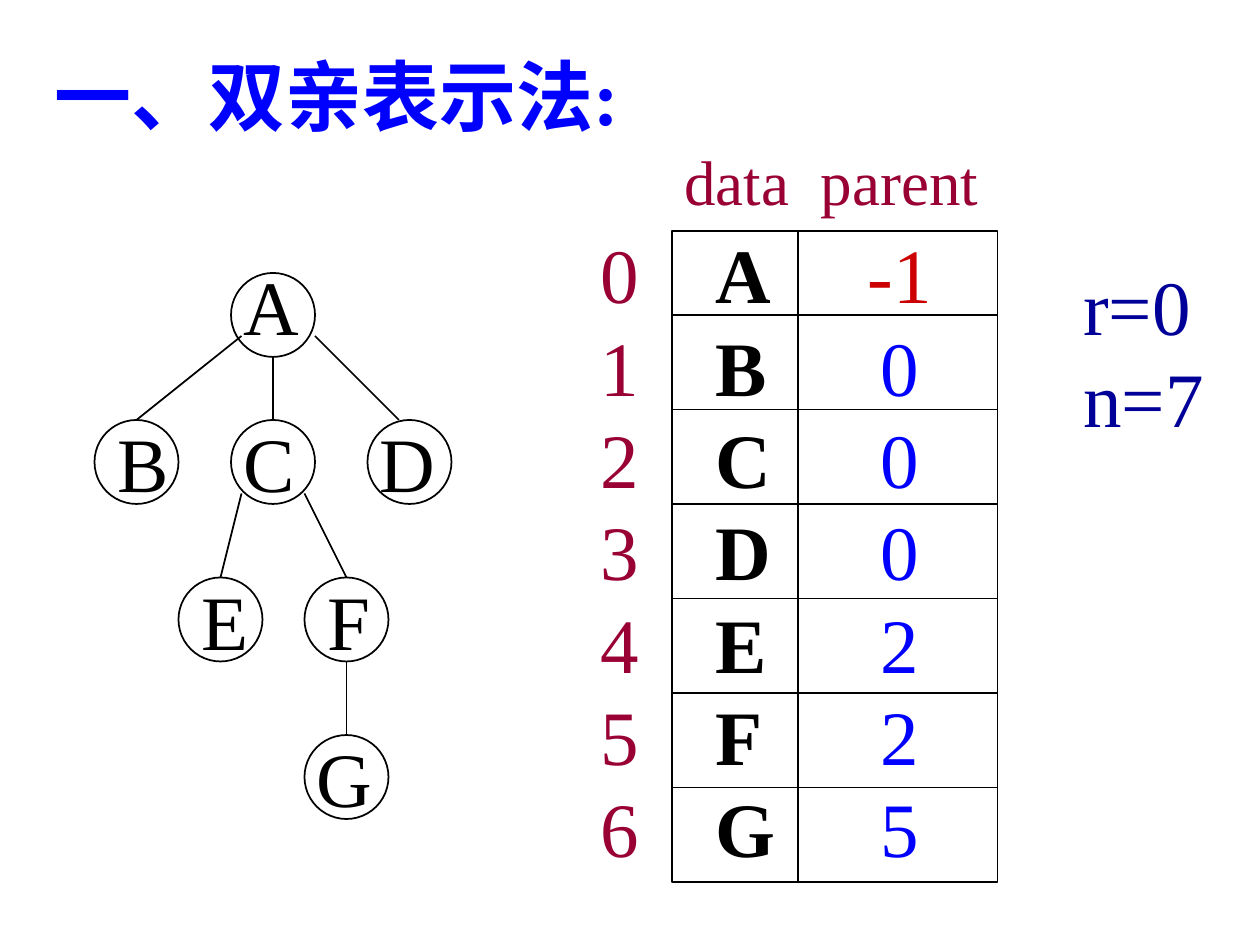
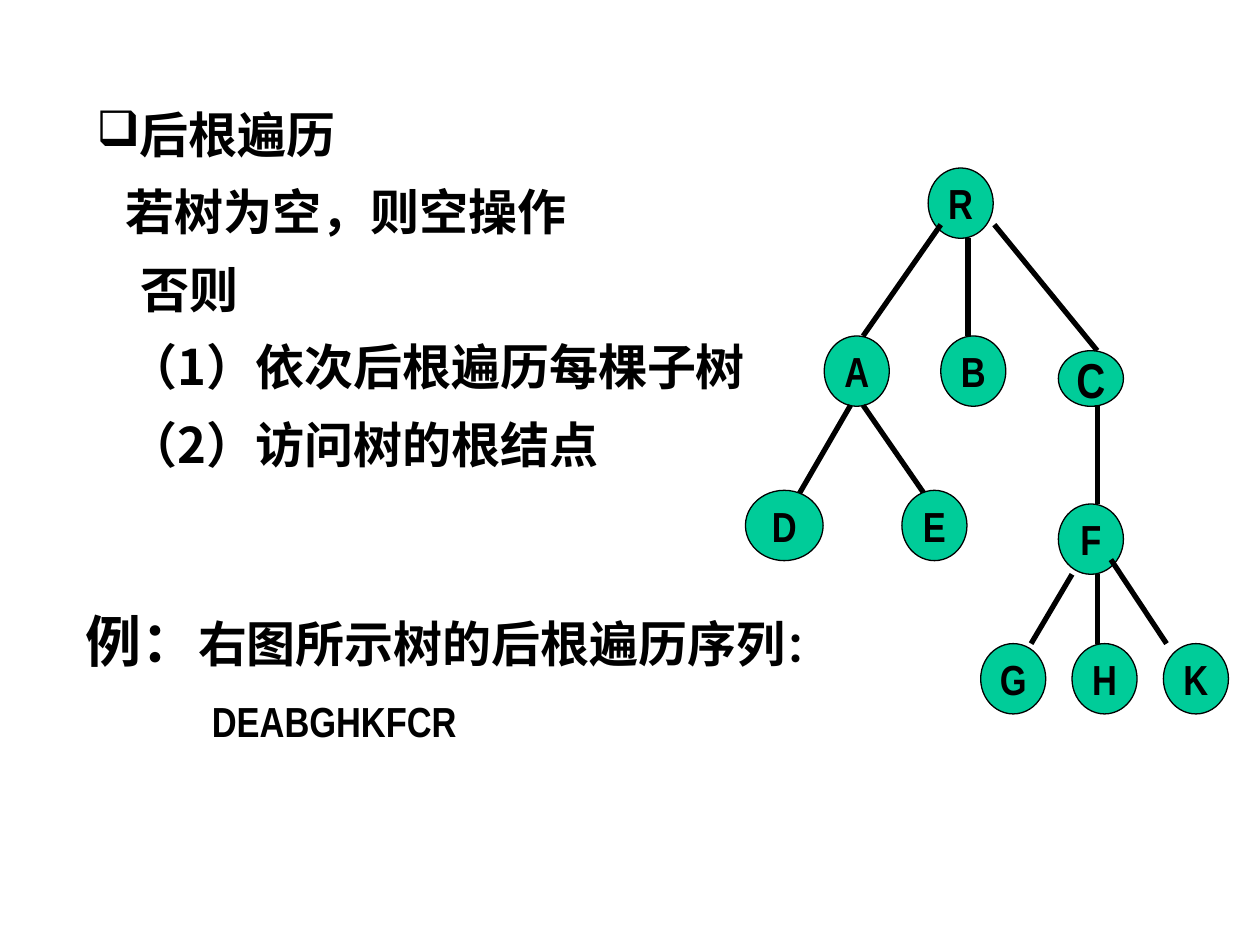
"""Build two slides on storing and walking trees."""
from lxml.etree import SubElement as Sub
from pptx import Presentation as Deck
from pptx.dml.color import RGBColor as Rgb
from pptx.enum.shapes import MSO_CONNECTOR as Link, MSO_SHAPE as Form
from pptx.enum.text import MSO_ANCHOR as Anchor, MSO_AUTO_SIZE as Fit, PP_ALIGN as Align
from pptx.oxml.ns import qn
from pptx.util import Emu, Pt

SCALE = 7620
HUES = {"ink": "000000", "blue": "0000FF", "navy": "000099", "wine": "990033",
        "red": "CC0000", "green": "00CC99"}
TIMES, NARROW, HAN = "Times New Roman", "Arial Narrow", "Noto Sans CJK SC"
BIG = {"name": TIMES, "size": Pt(44)}
HEAD = {"name": TIMES, "size": Pt(36)}
BODY = {"name": HAN, "size": Pt(28), "bold": True}
NODE = {"name": NARROW, "size": Pt(24), "bold": True}

DISCS = {"A": (220, 260), "B": (90, 400), "C": (220, 400), "D": (350, 400),
         "E": (170, 550), "F": (290, 550), "G": (290, 700)}
MARKS = {"A": (220, 240), "B": (100, 390), "C": (220, 390), "D": (350, 390),
         "E": (180, 540), "F": (300, 540), "G": (290, 690)}
TWIGS = [(260, 340, 260, 400), (300, 320, 380, 400), (230, 320, 130, 400),
         (230, 470, 210, 550), (290, 470, 330, 550), (330, 630, 330, 700)]
ROWS = [("A", "-1"), ("B", "0"), ("C", "0"), ("D", "0"), ("E", "2"), ("F", "2"), ("G", "5")]

NODES = {"R": (884, 160), "A": (785, 320), "B": (896, 320), "C": (1008, 334, 62, 53),
         "D": (710, 467, 74, 67), "E": (859, 467), "F": (1008, 480),
         "G": (934, 613), "H": (1021, 613), "K": (1108, 613)}
EDGES = {"R": [(896, 214, 822, 320), (947, 214, 1045, 334), (922, 227, 922, 320)],
         "A": [(810, 386, 748, 493), (822, 386, 896, 493)],
         "C": [(1045, 386, 1045, 480)],
         "F": [(1021, 547, 982, 613), (1058, 533, 1111, 613), (1045, 547, 1045, 613)]}
STEPS = [("若树为空，则空操作", 28), ("否则", 42),
         ("（1）依次后根遍历每棵子树", 31), ("（2）访问树的根结点", 31)]


def px(*sizes):
    """Turn px lengths into EMU."""
    return [Emu(size * SCALE) for size in sizes]


def hue(key):
    """Give the colour with this name."""
    return Rgb.from_string(HUES[key])


def write(para, text, style, tone="ink"):
    """Add a styled run to a paragraph."""
    run = para.add_run()
    run.text = text
    for key, value in style.items():
        setattr(run.font, key, value)
    run.font.color.rgb = hue(tone)
    Sub(run.font._element, qn("a:ea"), typeface=HAN)


def space(para, line=None):
    """Put half a line before a paragraph."""
    if line:
        para.line_spacing = line
    before = Sub(para._p.get_or_add_pPr(), qn("a:spcBef"))
    Sub(before, qn("a:spcPct"), val="50000")


def indent(para, left):
    """Set the left margin of a paragraph."""
    para._p.get_or_add_pPr().set("marL", str(left * SCALE))


def bullet(para, sign):
    """Give a paragraph a black bullet."""
    props = para._p.get_or_add_pPr()
    Sub(Sub(props, qn("a:buClr")), qn("a:srgbClr"), val=HUES["ink"])
    Sub(props, qn("a:buChar"), char=sign)


def tabs(para, *stops):
    """Set tab stops given as place and alignment."""
    row = Sub(para._p.get_or_add_pPr(), qn("a:tabLst"))
    for place, side in stops:
        Sub(row, qn("a:tab"), pos=str(place * SCALE), algn=side)


def text_box(shapes, left, top, wide, high, count=1, wrap=False):
    """Add a text box and return its paragraphs."""
    frame = shapes.add_textbox(*px(left, top, wide, high)).text_frame
    frame.word_wrap = wrap
    frame.auto_size = Fit.SHAPE_TO_FIT_TEXT
    for _ in range(count - 1):
        frame.add_paragraph()
    return frame.paragraphs


def shape(shapes, form, box, fill=None, width=1):
    """Add an outlined shape."""
    item = shapes.add_shape(form, *px(*box))
    item.shadow.inherit = False
    if fill:
        item.fill.solid()
        item.fill.fore_color.rgb = hue(fill)
    else:
        item.fill.background()
    item.line.color.rgb = hue("ink")
    item.line.width = Pt(width)
    return item


def line(shapes, ends, width=1):
    """Add a straight black line."""
    item = shapes.add_connector(Link.STRAIGHT, *px(*ends))
    item.line.color.rgb = hue("ink")
    item.line.width = Pt(width)
    Sub(item._element.spPr, qn("a:effectLst"))


def node(shapes, name, left, top, wide=62, high=67):
    """Add a green tree node with its letter."""
    item = shape(shapes, Form.OVAL, (left, top, wide, high), "green", 0.75)
    frame = item.text_frame
    frame.word_wrap = False
    frame.vertical_anchor = Anchor.MIDDLE
    para = frame.paragraphs[0]
    para.alignment = Align.CENTER
    size = Pt(28) if name == "C" else NODE["size"]
    write(para, name, {**NODE, "size": size})


def plain_tree(shapes):
    """Draw the tree of outlined nodes."""
    for spot in DISCS.values():
        shape(shapes, Form.OVAL, (*spot, 80, 80))
    for name, spot in MARKS.items():
        write(text_box(shapes, *spot, 75, 100)[0], name, BIG)
    for ends in TWIGS:
        line(shapes, ends)


def store(shapes):
    """Draw the array of nodes and their parents."""
    paras = text_box(shapes, 560, 210, 348, 628, len(ROWS), wrap=True)
    for index, (para, (name, parent)) in enumerate(zip(paras, ROWS)):
        tabs(para, (110, "l"), (285, "ctr"))
        write(para, f"{index}\t", BIG, "wine")
        write(para, f"{name}\t", {**BIG, "bold": True})
        write(para, parent, BIG, "red" if index == 0 else "blue")
    shape(shapes, Form.RECTANGLE, (640, 220, 310, 620))
    for row in range(len(ROWS) - 1):
        level = 300 + 90 * row
        line(shapes, (640, level, 950, level))
    line(shapes, (760, 220, 760, 840))
    head = text_box(shapes, 640, 130, 328, 84, wrap=True)[0]
    space(head)
    tabs(head, (130, "l"))
    write(head, "data\tparent", HEAD, "wine")


def parent_slide(shapes):
    """Fill the slide on parent links."""
    plain_tree(shapes)
    store(shapes)
    for para, text in zip(text_box(shapes, 1020, 240, 139, 188, 2), ("r=0", "n=7")):
        write(para, text, BIG, "navy")
    title = text_box(shapes, 40, 40, 566, 100)[0]
    write(title, "一、双亲表示法:", {**BIG, "bold": True}, "blue")


def walk_slide(shapes):
    """Fill the slide on postorder walks."""
    first, *rest = text_box(shapes, 80, 100, 690, 377, 1 + len(STEPS), wrap=True)
    space(first, 0.9)
    bullet(first, "❑")
    write(first, "后根遍历", BODY)
    for para, (text, left) in zip(rest, STEPS):
        space(para, 0.9)
        indent(para, left)
        write(para, text, BODY)
    tree = shapes.add_group_shape().shapes
    for name, box in NODES.items():
        node(tree, name, *box)
        for ends in EDGES.get(name, []):
            line(tree, ends, 3)
    task, order = text_box(shapes, 70, 572, 740, 148, 2, wrap=True)
    for para in (task, order):
        space(para)
    for text, size in (("例：", 32), ("右图所示树的后根遍历序列", 28), ("：", 24)):
        write(task, text, {"name": TIMES, "size": Pt(size), "bold": True})
    indent(order, 120)
    write(order, "DEABGHKFCR", NODE)


def main():
    """Build and save the deck."""
    deck = Deck()
    deck.slide_width, deck.slide_height = px(1200, 900)
    for fill in (parent_slide, walk_slide):
        fill(deck.slides.add_slide(deck.slide_layouts[6]).shapes)
    deck.save("out.pptx")


if __name__ == "__main__":
    main()
